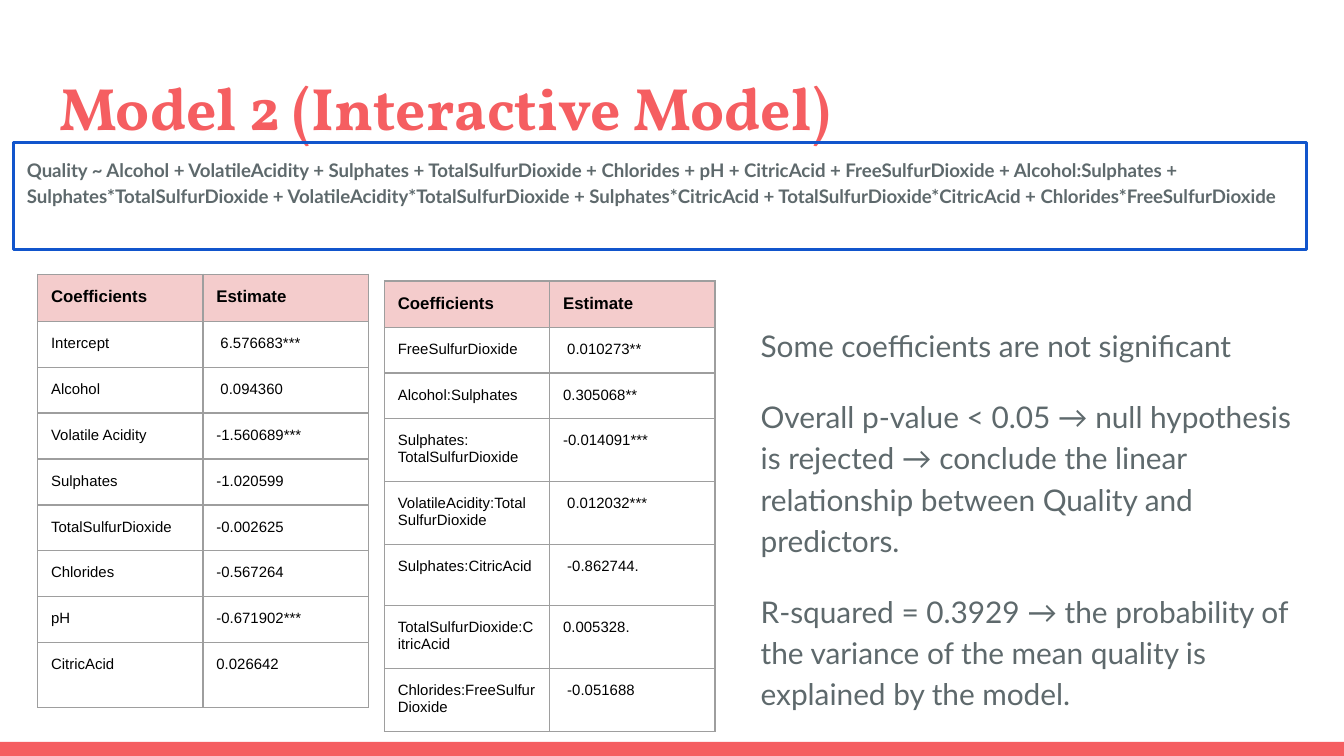
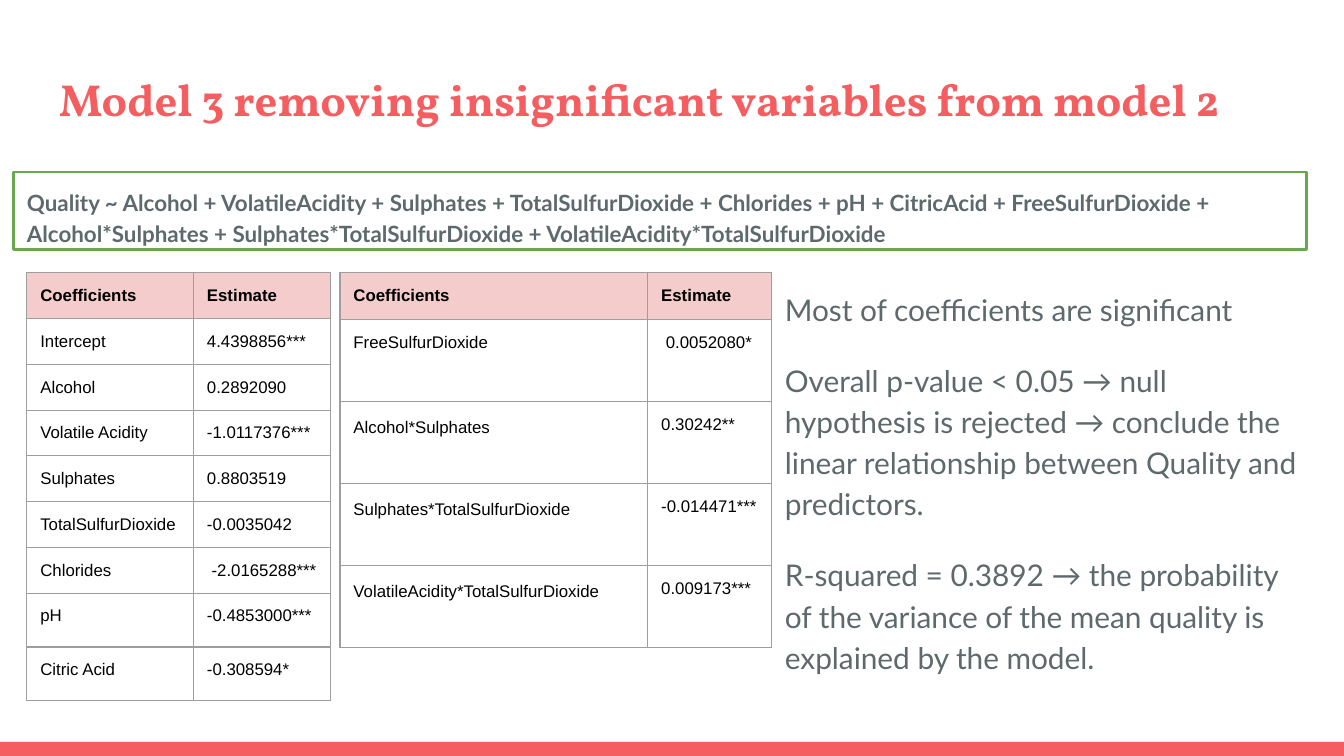
from lxml import etree
from pptx import Presentation
from pptx import util as u
from pptx.dml.color import RGBColor
from pptx.enum import shapes, text
from pptx.oxml.ns import qn

# The slide is a grid of 100 columns by 56.25 rows of square cells
COLUMNS, ROWS = 100, 56.25
CELL = u.Inches(10) / COLUMNS

COLORS = {
    "accent": "F55E61",
    "body": "5E696C",
    "header": "F4CCCC",
    "border": "9E9E9E",
    "black": "000000",
    "blue": "1155CC",
    "green": "6AA84F",
}
TITLE_FONT, BODY_FONT, TABLE_FONT = "Vollkorn", "Lato", "Arial"
TITLE_BOX = (3.4, 4.3, 93.2, 6.8)
BAND_BOX = (0, 55.2, COLUMNS, ROWS - 55.2)
HEADER = ("Coefficients", "Estimate")


def grid(cells):
    return u.Emu(round(cells * CELL))


def color(name):
    return RGBColor.from_string(COLORS[name])


def place(shape, box):
    shape.left, shape.top, shape.width, shape.height = map(grid, box)


def add_run(paragraph, words, size, font, color_name, bold=False):
    run = paragraph.add_run()
    run.text = words
    run.font.size = u.Pt(size)
    run.font.name = font
    run.font.bold = bold
    run.font.color.rgb = color(color_name)


def prepare_frame(shape):
    frame = shape.text_frame
    frame.word_wrap = True
    frame.auto_size = text.MSO_AUTO_SIZE.NONE
    frame.vertical_anchor = text.MSO_ANCHOR.TOP
    frame.margin_left = frame.margin_right = grid(1)
    frame.margin_top = frame.margin_bottom = grid(1)
    return frame


def format_body(paragraph, before=0, after=0):
    paragraph.line_spacing = 1.15
    paragraph.space_before = u.Pt(before)
    paragraph.space_after = u.Pt(after)
    properties = paragraph._p.get_or_add_pPr()
    properties.set("marL", "0")
    properties.set("indent", "0")
    etree.SubElement(properties, qn("a:buNone"))


def add_title(slide, words, size):
    title = slide.shapes.title
    place(title, TITLE_BOX)
    paragraph = prepare_frame(title).paragraphs[0]
    paragraph.alignment = text.PP_ALIGN.LEFT
    add_run(paragraph, words, size, TITLE_FONT, "accent", bold=True)


def add_band(slide):
    band = slide.shapes.add_shape(shapes.MSO_SHAPE.RECTANGLE, *map(grid, BAND_BOX))
    band.shadow.inherit = False
    band.fill.solid()
    band.fill.fore_color.rgb = color("accent")
    band.line.fill.background()


def add_notes(slide, box, notes):
    body = slide.placeholders[1]
    place(body, box)
    frame = prepare_frame(body)
    for index, note in enumerate(notes):
        paragraph = frame.add_paragraph() if index else frame.paragraphs[0]
        format_body(paragraph, 16 if index else 0, 16 if note == notes[-1] else 0)
        add_run(paragraph, note, 16, BODY_FONT, "body")


def add_formula(slide, box, formula, size, outline):
    body = slide.placeholders[2]
    place(body, box)
    body.line.color.rgb = color(outline)
    body.line.width = u.Pt(1.5)
    paragraph = prepare_frame(body).paragraphs[0]
    format_body(paragraph, after=16)
    add_run(paragraph, formula, size, BODY_FONT, "body", bold=True)


def add_borders(cell):
    properties = cell._tc.get_or_add_tcPr()
    for side in ("lnL", "lnR", "lnT", "lnB"):
        line = etree.SubElement(properties, qn(f"a:{side}"), w=str(u.Pt(0.75)))
        fill = etree.SubElement(line, qn("a:solidFill"))
        etree.SubElement(fill, qn("a:srgbClr"), val=COLORS["border"])


def fill_cell(cell, words, size, is_header):
    cell.margin_left = cell.margin_right = grid(1)
    cell.margin_top = cell.margin_bottom = grid(1)
    add_borders(cell)
    if is_header:
        cell.fill.solid()
        cell.fill.fore_color.rgb = color("header")
    else:
        cell.fill.background()
    frame = cell.text_frame
    for index, line in enumerate(words.split("\n")):
        paragraph = frame.add_paragraph() if index else frame.paragraphs[0]
        # Interaction terms are set a little looser
        if "*" in line.rstrip("*"):
            paragraph.line_spacing = 1.15
        add_run(paragraph, line, size, TABLE_FONT, "black", bold=is_header)


def add_coefficients(slide, corner, widths, heights, size, estimates):
    rows = [HEADER, *estimates]
    box = (*corner, sum(widths), sum(heights))
    table = slide.shapes.add_table(len(rows), len(widths), *map(grid, box)).table
    table.horz_banding = False
    for column, width in zip(table.columns, widths):
        column.width = grid(width)
    for row, height, values in zip(table.rows, heights, rows):
        row.height = grid(height)
        is_header = values is HEADER
        for cell, words in zip(row.cells, values):
            fill_cell(cell, words, 9 if is_header else size, is_header)


def build_model_slide(presentation, model):
    slide = presentation.slides.add_slide(presentation.slide_layouts[3])
    add_band(slide)
    add_title(slide, *model["title"])
    add_notes(slide, *model["notes"])
    add_formula(slide, *model["formula"])
    for table in model["tables"]:
        add_coefficients(slide, *table)


def conclusions(first, r_squared):
    return [
        first,
        "Overall p-value < 0.05 → null hypothesis is rejected → conclude the "
        "linear relationship between Quality and predictors.",
        f"R-squared = {r_squared} → the probability of the variance of the mean "
        "quality is explained by the model.",
    ]


MAIN_EFFECTS = (
    "Quality ~ Alcohol + VolatileAcidity + Sulphates + TotalSulfurDioxide + "
    "Chlorides + pH + CitricAcid + FreeSulfurDioxide + "
)
SHARED_INTERACTIONS = (
    "Sulphates*TotalSulfurDioxide + VolatileAcidity*TotalSulfurDioxide"
)

MODELS = [
    {
        "title": ("Model 2 (Interactive Model)", 32),
        "notes": (
            (55.6, 23, 43.3, 28.9),
            conclusions("Some coefficients are not significant", "0.3929"),
        ),
        "formula": (
            (1, 10.6, 96.2, 8),
            MAIN_EFFECTS + "Alcohol:Sulphates + " + SHARED_INTERACTIONS
            + " + Sulphates*CitricAcid + TotalSulfurDioxide*CitricAcid"
            + " + Chlorides*FreeSulfurDioxide",
            10,
            "blue",
        ),
        "tables": [
            ((2.8, 20.4), [12.3] * 2, [3.5] + [3.42] * 7 + [4.8], 8, [
                ("Intercept", " 6.576683***"),
                ("Alcohol", " 0.094360"),
                ("Volatile Acidity", "-1.560689***"),
                ("Sulphates", "-1.020599"),
                ("TotalSulfurDioxide", "-0.002625"),
                ("Chlorides", "-0.567264"),
                ("pH", "-0.671902***"),
                ("CitricAcid", "0.026642"),
            ]),
            ((28.6, 20.9), [12.3] * 2, [3.45] + [3.4] * 2 + [4.7] * 2 + [4.5] + [4.7] * 2, 8, [
                ("FreeSulfurDioxide", " 0.010273**"),
                ("Alcohol:Sulphates", "0.305068**"),
                ("Sulphates:\nTotalSulfurDioxide", "-0.014091***"),
                ("VolatileAcidity:TotalSulfurDioxide", " 0.012032***"),
                ("Sulphates:CitricAcid", " -0.862744."),
                ("TotalSulfurDioxide:CitricAcid", "0.005328."),
                ("Chlorides:FreeSulfurDioxide", " -0.051688"),
            ]),
        ],
    },
    {
        "title": ("Model 3 removing insignificant variables from model 2", 24),
        "notes": (
            (57.4, 20.3, 40.4, 34.6),
            conclusions("Most of coefficients are significant", "0.3892"),
        ),
        "formula": (
            (1, 12.8, 96.2, 5.8),
            MAIN_EFFECTS + "Alcohol*Sulphates + " + SHARED_INTERACTIONS,
            12,
            "green",
        ),
        "tables": [
            ((2, 20.3), [12.4, 10.2], [3.4] * 7 + [4] * 2, 9, [
                ("Intercept", "4.4398856***"),
                ("Alcohol", "0.2892090"),
                ("Volatile Acidity", "-1.0117376***"),
                ("Sulphates", "0.8803519"),
                ("TotalSulfurDioxide", "-0.0035042"),
                ("Chlorides", " -2.0165288***"),
                ("pH", "-0.4853000***"),
                ("Citric Acid", "-0.308594*"),
            ]),
            ((25.3, 20.3), [22.9, 9.2], [3.5] + [6.1] * 4, 9, [
                ("FreeSulfurDioxide", " 0.0052080*"),
                ("Alcohol*Sulphates", "0.30242**"),
                ("Sulphates*TotalSulfurDioxide", "-0.014471***"),
                ("VolatileAcidity*TotalSulfurDioxide", "0.009173***"),
            ]),
        ],
    },
]


def main():
    presentation = Presentation()
    presentation.slide_width = grid(COLUMNS)
    presentation.slide_height = grid(ROWS)
    for model in MODELS:
        build_model_slide(presentation, model)
    presentation.save("out.pptx")


if __name__ == "__main__":
    main()
